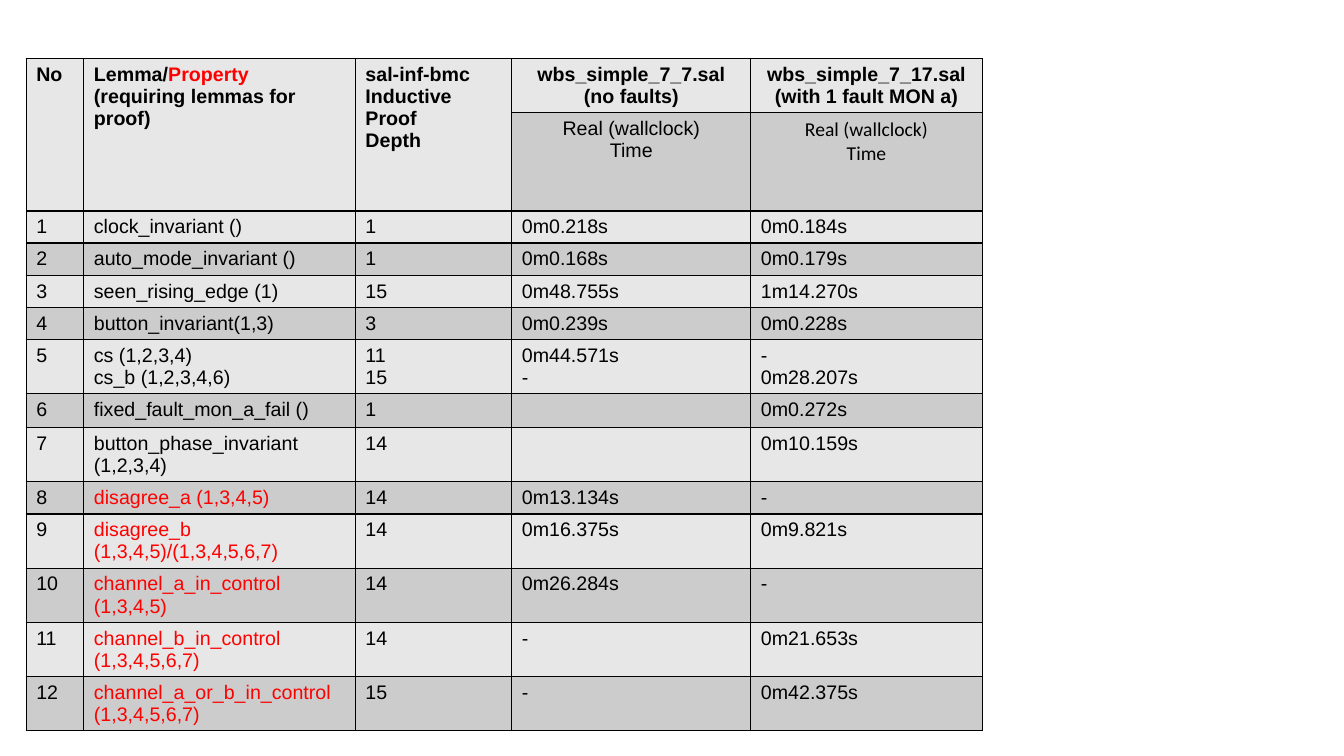
from lxml import etree
from pptx import Presentation
from pptx.dml.color import RGBColor
from pptx.enum import text
from pptx.oxml import ns
from pptx.util import Pt

BLACK = RGBColor(0x00, 0x00, 0x00)
RED = RGBColor(0xFF, 0x00, 0x00)
LIGHT = RGBColor(0xE7, 0xE7, 0xE7)
DARK = RGBColor(0xCC, 0xCC, 0xCC)

FONT_SIZE = 14
COLUMN_WIDTHS = [41.2, 194, 111.7, 170.8, 165.2]
ONE_LINE, TWO_LINES = 22.3, 38.2
TALL_ROWS = {0, 1, 6, 8, 10, 11, 12, 13}
HEADER_ROWS = 2
MERGED_COLUMNS = 3
FIRST_PROPERTY = 8

HEADINGS = [
    ["No", "Lemma/\n(requiring lemmas for proof)",
     "sal-inf-bmc\nInductive\nProof\nDepth",
     "wbs_simple_7_7.sal\n(no faults)",
     "wbs_simple_7_17.sal\n(with 1 fault MON a)"],
    ["", "", "", "Real (wallclock)\nTime", "Real (wallclock)\nTime"],
]
PROOFS = [
    ["clock_invariant ()", "1", "0m0.218s", "0m0.184s"],
    ["auto_mode_invariant ()", "1", "0m0.168s", "0m0.179s"],
    ["seen_rising_edge (1)", "15", "0m48.755s", "1m14.270s"],
    ["button_invariant(1,3)", "3", "0m0.239s", "0m0.228s"],
    ["cs (1,2,3,4)\ncs_b (1,2,3,4,6)", "11\n15", "0m44.571s\n-", "-\n0m28.207s"],
    ["fixed_fault_mon_a_fail ()", "1", "", "0m0.272s"],
    ["button_phase_invariant\n(1,2,3,4)", "14", "", "0m10.159s"],
    ["disagree_a (1,3,4,5)", "14", "0m13.134s", "-"],
    ["disagree_b\n(1,3,4,5)/(1,3,4,5,6,7)", "14", "0m16.375s", "0m9.821s"],
    ["channel_a_in_control\n(1,3,4,5)", "14", "0m26.284s", "-"],
    ["channel_b_in_control\n(1,3,4,5,6,7)", "14", "-", "0m21.653s"],
    ["channel_a_or_b_in_control\n(1,3,4,5,6,7)", "15", "-", "0m42.375s"],
]


def add_borders(cell):
    properties = cell._tc.get_or_add_tcPr()
    for side in ("a:lnL", "a:lnR", "a:lnT", "a:lnB"):
        line = etree.SubElement(properties, ns.qn(side), w=str(Pt(1)))
        fill = etree.SubElement(line, ns.qn("a:solidFill"))
        etree.SubElement(fill, ns.qn("a:srgbClr"), val=str(BLACK))


def format_run(run, color, bold, font):
    run.font.name = font
    run.font.size = Pt(FONT_SIZE)
    run.font.bold = bold
    run.font.color.rgb = color


def fill_cell(cell, content, shade, color=BLACK, bold=False, font="Arial", centred=False):
    add_borders(cell)
    cell.fill.solid()
    cell.fill.fore_color.rgb = shade
    cell.text_frame.text = content
    for paragraph in cell.text_frame.paragraphs:
        paragraph.alignment = text.PP_ALIGN.CENTER if centred else text.PP_ALIGN.LEFT
        for run in paragraph.runs:
            format_run(run, color, bold, font)
        if not paragraph.runs:
            etree.SubElement(paragraph._p, ns.qn("a:endParaRPr"), sz=str(FONT_SIZE * 100))


def add_proof_table(slide):
    rows = HEADINGS + [[str(number), *proof] for number, proof in enumerate(PROOFS, 1)]
    table = slide.shapes.add_table(
        len(rows), len(COLUMN_WIDTHS), Pt(18.7), Pt(41.8),
        Pt(sum(COLUMN_WIDTHS)), Pt(470)).table
    for column, width in zip(table.columns, COLUMN_WIDTHS):
        column.width = Pt(width)
    for r, values in enumerate(rows):
        table.rows[r].height = Pt(TWO_LINES if r in TALL_ROWS else ONE_LINE)
        is_property = r >= HEADER_ROWS + FIRST_PROPERTY - 1
        for c, content in enumerate(values):
            fill_cell(
                table.cell(r, c), content,
                shade=DARK if r % 2 else LIGHT,
                color=RED if is_property and c == 1 else BLACK,
                bold=r == 0,
                font="Calibri" if (r, c) == (1, 4) else "Arial",
                centred=r < HEADER_ROWS and c >= MERGED_COLUMNS)
    for c in range(MERGED_COLUMNS):
        table.cell(0, c).merge(table.cell(1, c))
    property_word = table.cell(0, 1).text_frame.paragraphs[0].add_run()
    property_word.text = "Property"
    format_run(property_word, RED, True, "Arial")


def main():
    deck = Presentation()
    deck.slide_width, deck.slide_height = Pt(960), Pt(540)
    slide = deck.slides.add_slide(deck.slide_layouts[6])
    add_proof_table(slide)
    deck.save("out.pptx")


main()
